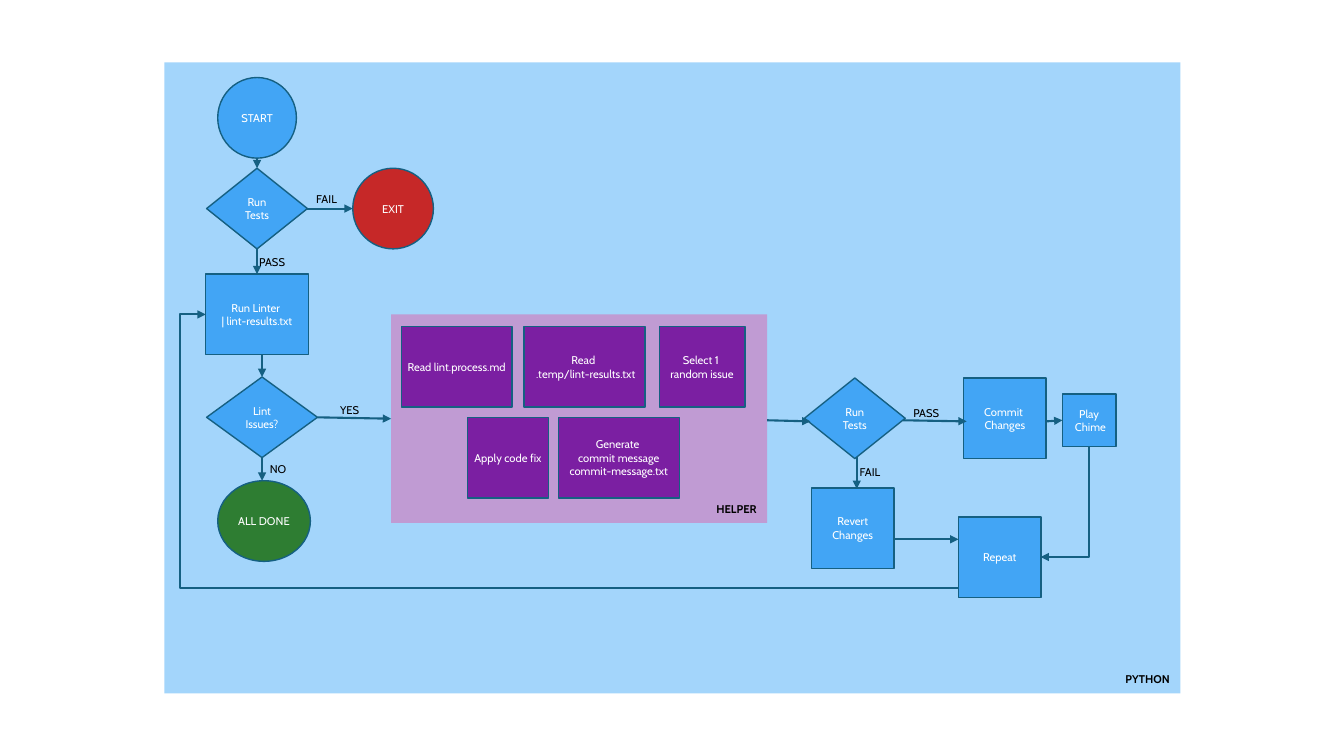
from lxml.etree import SubElement
from pptx import Presentation
from pptx.dml.color import RGBColor
from pptx.enum.shapes import MSO_CONNECTOR as Link, MSO_SHAPE as Form
from pptx.enum.text import MSO_ANCHOR as Anchor, MSO_AUTO_SIZE as Fit, PP_ALIGN as Align
from pptx.oxml.ns import qn
from pptx.util import Pt

COLORS = {
    "python": "A3D5FB", "helper": "C09BD3", "step": "42A5F5", "prompt": "7B1FA2",
    "exit": "C62828", "done": "2E7D32", "line": "156082", "white": "FFFFFF", "black": "000000",
}
TOP, LEFT, BOTTOM, RIGHT = range(4)
SIDE = 57.6

PANELS = {
    "python": (117.4, 44.6, 725.8, 450.7),
    "helper": (279.4, 224.6, 268.6, 149),
}
NODES = {
    "start": (Form.OVAL, "step", "START", 155.5, 55.4, 56.2, SIDE),
    "first tests": (Form.DIAMOND, "step", "Run Tests", 147.6, 120.2, 72, SIDE),
    "exit": (Form.OVAL, "exit", "EXIT", 252, 120.2, SIDE, SIDE),
    "linter": (Form.RECTANGLE, "step", "Run Linter \v| lint-results.txt", 146.9, 195.8, 73.4, SIDE),
    "issues": (Form.DIAMOND, "step", "Lint Issues?", 147.6, 269.3, 79.2, SIDE),
    "done": (Form.OVAL, "done", "ALL DONE", 155.5, 343.4, 66.2, SIDE),
    "repeat": (Form.RECTANGLE, "step", "Repeat", 684.7, 369.4, 59, SIDE),
    "read process": (Form.RECTANGLE, "prompt", "Read lint.process.md", 286.6, 233.3, 79.2, SIDE),
    "read results": (Form.RECTANGLE, "prompt", "Read \n .temp/lint-results.txt",
                     374.4, 233.3, 86.4, SIDE),
    "select": (Form.RECTANGLE, "prompt", "Select 1 \nrandom issue", 470.9, 233.3, 61.2, SIDE),
    "fix": (Form.RECTANGLE, "prompt", "Apply code fix", 334.1, 298.1, SIDE, SIDE),
    "message": (Form.RECTANGLE, "prompt", "Generate \ncommit message\ncommit-message.txt",
                398.9, 298.1, 86.4, SIDE),
    "revert": (Form.RECTANGLE, "step", "Revert Changes", 579.6, 348.5, 59, SIDE),
    "commit": (Form.RECTANGLE, "step", "Commit \vChanges", 688.3, 270, 59, SIDE),
    "chime": (Form.RECTANGLE, "step", "Play\n Chime", 758.9, 281.5, 38.2, 37.4),
    "second tests": (Form.DIAMOND, "step", "Run Tests", 574.6, 270, 72, SIDE),
}
ARROWS = [
    (("start", BOTTOM), ("first tests", TOP)),
    (("first tests", RIGHT), ("exit", LEFT)),
    (("first tests", BOTTOM), ("linter", TOP)),
    ((187.2, 253.4), ("issues", TOP)),
    (("issues", BOTTOM), (187.2, 343.4)),
    (("issues", RIGHT), ("helper", LEFT)),
    ((548, 300.2), (578.9, 301)),
    ((645, 300.2), (690.5, 301)),
    ((747.3, 301), ("chime", LEFT)),
    ((612, 326.2), (612, 349.2)),
    ((638.6, 385.2), (684.7, 385.2)),
]
LABELS = [
    ("PASS", 172.8, 178.6), ("NO", 177.1, 326.9), ("YES", 228.2, 284.4),
    ("FAIL", 211.7, 133.9), ("PASS", 640.1, 286.6), ("FAIL", 599.8, 329),
]
TITLES = [("HELPER", 503.3, 355), ("PYTHON", 797, 476.6)]


def apply(target, **values):
    for name, value in values.items():
        setattr(target, name, value)


def color(name):
    return RGBColor.from_string(COLORS[name])


def write(box, text, ink, bold=False):
    box.text_frame.text = text
    for para in box.text_frame.paragraphs:
        para.alignment = Align.CENTER
        for span in para.runs:
            apply(span.font, name="Cabin", size=Pt(8), bold=bold)
            span.font.color.rgb = color(ink)


def add_block(page, form, fill, x, y, width, height):
    box = page.shapes.add_shape(form, Pt(x), Pt(y), Pt(width), Pt(height))
    box.shadow.inherit = False
    box.fill.solid()
    box.fill.fore_color.rgb = color(fill)
    box.line.fill.background()
    return box


def add_node(page, form, fill, text, *frame):
    box = add_block(page, form, fill, *frame)
    box.line.color.rgb = color("line")
    box.line.width = Pt(1)
    inset = Pt(3.6)
    apply(box.text_frame, word_wrap=True, vertical_anchor=Anchor.MIDDLE, margin_left=inset,
          margin_right=inset, margin_top=inset, margin_bottom=inset)
    write(box, text, "white")
    return box


def add_label(page, text, x, y, width, height, bold=False):
    box = page.shapes.add_textbox(Pt(x), Pt(y), Pt(width), Pt(height))
    write(box, text, "black", bold)
    apply(box.text_frame, word_wrap=False, auto_size=Fit.SHAPE_TO_FIT_TEXT,
          margin_left=Pt(0), margin_right=Pt(0))


def add_link(page, kind, *ends):
    link = page.shapes.add_connector(kind, *(Pt(value) for value in ends))
    link.line.color.rgb = color("line")
    link.line.width = Pt(1.5)
    SubElement(link.line._get_or_add_ln(), qn("a:tailEnd"), type="triangle")
    SubElement(link._element.spPr, qn("a:effectLst"))
    return link


def add_arrow(page, boxes, start, end):
    points = [(0, 0) if isinstance(spot[0], str) else spot for spot in (start, end)]
    link = add_link(page, Link.STRAIGHT, *points[0], *points[1])
    for spot, join in ((start, link.begin_connect), (end, link.end_connect)):
        if isinstance(spot[0], str):
            join(boxes[spot[0]], spot[1])


def add_elbow(page, preset, turn, x, y, width, height, bend=None):
    link = add_link(page, Link.ELBOW, x, y, x + width, y + height)
    properties = link._element.spPr
    properties.xfrm.set("rot", str(turn * 60000))
    geometry = properties.find(qn("a:prstGeom"))
    geometry.set("prst", preset)
    if bend:
        guides = geometry.find(qn("a:avLst"))
        SubElement(guides, qn("a:gd"), name="adj1", fmla=f"val {bend}")


def main():
    deck = Presentation()
    apply(deck, slide_width=Pt(960), slide_height=Pt(540))
    page = deck.slides.add_slide(deck.slide_layouts[6])
    boxes = {name: add_block(page, Form.RECTANGLE, name, *frame) for name, frame in PANELS.items()}
    for name, node in NODES.items():
        boxes[name] = add_node(page, *node)
    for start, end in ARROWS:
        add_arrow(page, boxes, start, end)
    add_elbow(page, "bentConnector2", 90, 721.4, 341.3, 78.5, 34.6)
    add_elbow(page, "bentConnector3", 180, 146.9, 224.6, 537.8, 195.1, 103350)
    for label in LABELS:
        add_label(page, *label, 43.2, 14.4)
    for title in TITLES:
        add_label(page, *title, 45.7, 17.3, bold=True)
    deck.save("out.pptx")


if __name__ == "__main__":
    main()
